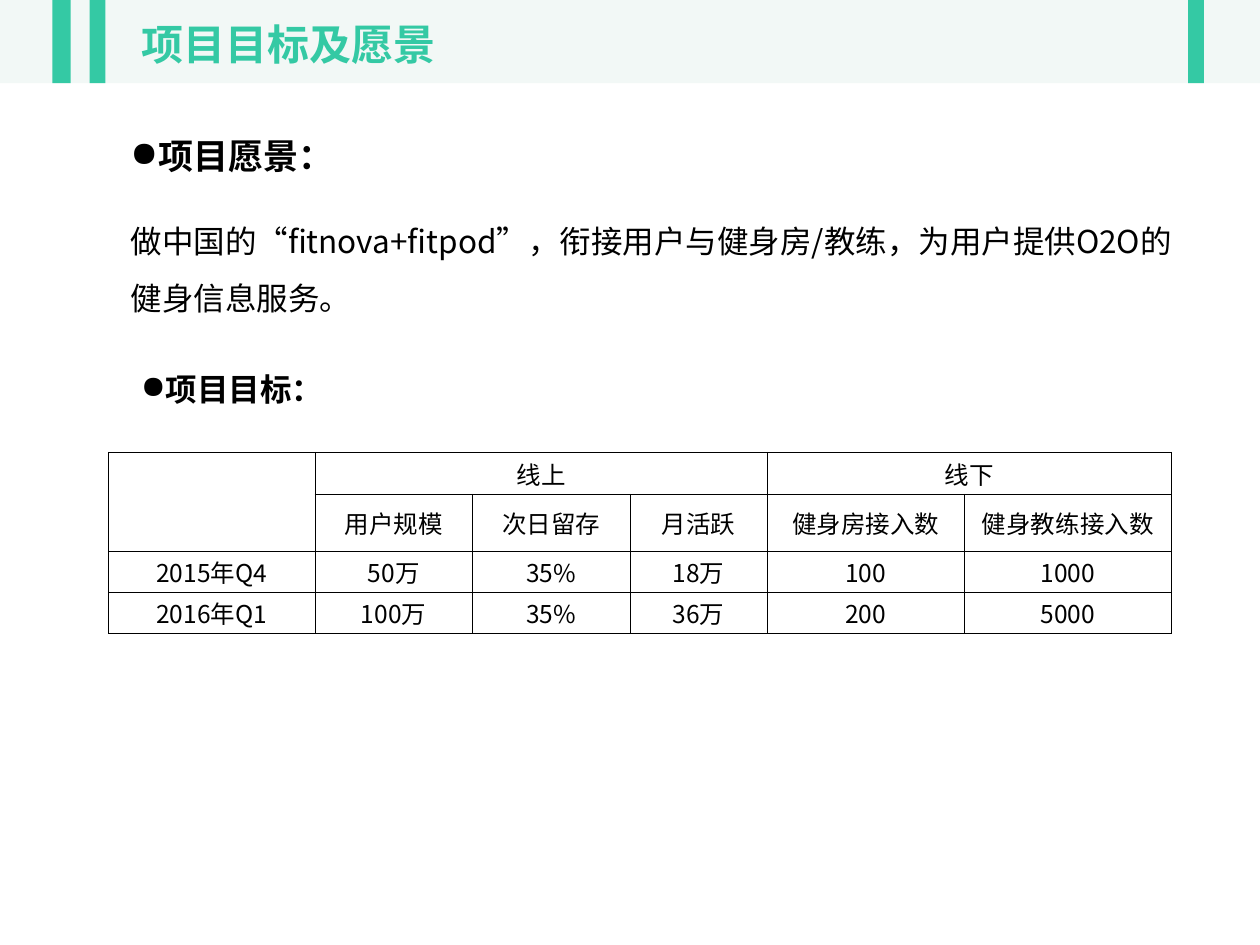
import pptx
import pptx.util
import pptx.dml.color
import pptx.enum.shapes
import pptx.enum.text
import pptx.oxml
import pptx.oxml.ns
from lxml import etree

Pt = pptx.util.Pt
FONT = "Noto Sans CJK SC"
COLORS = {"band": "E6F2EF", "accent": "34C9A4", "ink": "000000"}

TITLE = "项目目标及愿景"
VISION = "做中国的“fitnova+fitpod”，衔接用户与健身房/教练，为用户提供O2O的健身信息服务。"
HEADINGS = [
    ("项目愿景：", 20, (67.5, 73.5, 130.5, 31.5)),
    ("项目目标：", 18, (73.5, 208, 119, 29)),
]
BARS = [(30, 10.5), (51.25, 9), (679, 9)]
GOALS = [
    ["", "线上", "", "", "线下", ""],
    ["", "用户规模", "次日留存", "月活跃", "健身房接入数", "健身教练接入数"],
    ["2015年Q4", "50万", "35%", "18万", "100", "1000"],
    ["2016年Q1", "100万", "35%", "36万", "200", "5000"],
]
MERGES = [((0, 0), (1, 0)), ((0, 1), (0, 3)), ((0, 4), (0, 5))]
COLUMN_WIDTHS = [118, 90, 90, 78.5, 112.5, 118.5]
ROW_HEIGHTS = [24, 32.5, 23.5, 23.5]


def rgb(name):
    return pptx.dml.color.RGBColor.from_string(COLORS[name])


def points(*lengths):
    return [Pt(length) for length in lengths]


def write(frame, text, size, color="ink", bold=False):
    frame.text = text
    for run in frame.paragraphs[0].runs:
        run.font.size = Pt(size)
        run.font.name = FONT
        run.font.bold = bold
        run.font.color.rgb = rgb(color)
        east_asian = etree.SubElement(run.font._element, pptx.oxml.ns.qn("a:ea"))
        east_asian.set("typeface", FONT)


def add_block(slide, left, top, width, height, color):
    block = slide.shapes.add_shape(
        pptx.enum.shapes.MSO_SHAPE.RECTANGLE, *points(left, top, width, height))
    block.shadow.inherit = False
    block.fill.solid()
    block.fill.fore_color.rgb = rgb(color)
    block.line.fill.background()
    return block


def add_header(slide):
    band = add_block(slide, -3, -1, 726, 48.5, "band")
    fill_color = band.element.spPr.find(".//" + pptx.oxml.ns.qn("a:srgbClr"))
    etree.SubElement(fill_color, pptx.oxml.ns.qn("a:alpha")).set("val", "50000")
    for left, width in BARS:
        add_block(slide, left, -3, width, 50.5, "accent")
    title = slide.shapes.title
    title.left, title.top, title.width, title.height = points(73.5, 7, 373.5, 36)
    frame = title.text_frame
    write(frame, TITLE, 24, "accent", True)
    frame.word_wrap = True
    frame.vertical_anchor = pptx.enum.text.MSO_ANCHOR.TOP
    frame.paragraphs[0].alignment = pptx.enum.text.PP_ALIGN.LEFT
    title.element.getparent().append(title.element)


def add_text(slide, box, text, size, bold=False, wrap=True):
    frame = slide.shapes.add_textbox(*points(*box)).text_frame
    frame.word_wrap = wrap
    frame.auto_size = pptx.enum.text.MSO_AUTO_SIZE.SHAPE_TO_FIT_TEXT
    write(frame, text, size, bold=bold)
    return frame.paragraphs[0]


def add_borders(cell):
    properties = cell._tc.get_or_add_tcPr()
    for index, side in enumerate("LRTB"):
        border = pptx.oxml.parse_xml(
            f'<a:ln{side} {pptx.oxml.ns.nsdecls("a")} w="6350"><a:solidFill>'
            f'<a:srgbClr val="{COLORS["ink"]}"/></a:solidFill></a:ln{side}>')
        properties.insert(index, border)


def add_goals(slide):
    table = slide.shapes.add_table(
        len(ROW_HEIGHTS), len(COLUMN_WIDTHS),
        *points(62, 258.5, sum(COLUMN_WIDTHS), sum(ROW_HEIGHTS))).table
    table.first_row = table.horz_banding = False
    for column, width in zip(table.columns, COLUMN_WIDTHS):
        column.width = Pt(width)
    for row, height in zip(table.rows, ROW_HEIGHTS):
        row.height = Pt(height)
    for start, end in MERGES:
        table.cell(*start).merge(table.cell(*end))
    for row, values in zip(table.rows, GOALS):
        for cell, value in zip(row.cells, values):
            cell.margin_left = cell.margin_right = 0
            cell.margin_top = cell.margin_bottom = 0
            cell.vertical_anchor = pptx.enum.text.MSO_ANCHOR.MIDDLE
            cell.fill.background()
            add_borders(cell)
            if value:
                write(cell.text_frame, value, 14)
                cell.text_frame.paragraphs[0].alignment = pptx.enum.text.PP_ALIGN.CENTER


def main():
    deck = pptx.Presentation()
    deck.slide_width, deck.slide_height = points(720, 540)
    slide = deck.slides.add_slide(deck.slide_layouts[5])
    add_header(slide)
    add_goals(slide)
    vision = add_text(slide, (67.5, 112.5, 613.5, 69), VISION, 18)
    vision.line_spacing = 1.5
    for text, size, box in HEADINGS:
        heading = add_text(slide, box, text, size, bold=True, wrap=False)
        bullet = etree.SubElement(
            heading._p.get_or_add_pPr(), pptx.oxml.ns.qn("a:buChar"))
        bullet.set("char", "●")
    deck.save("out.pptx")


if __name__ == "__main__":
    main()
